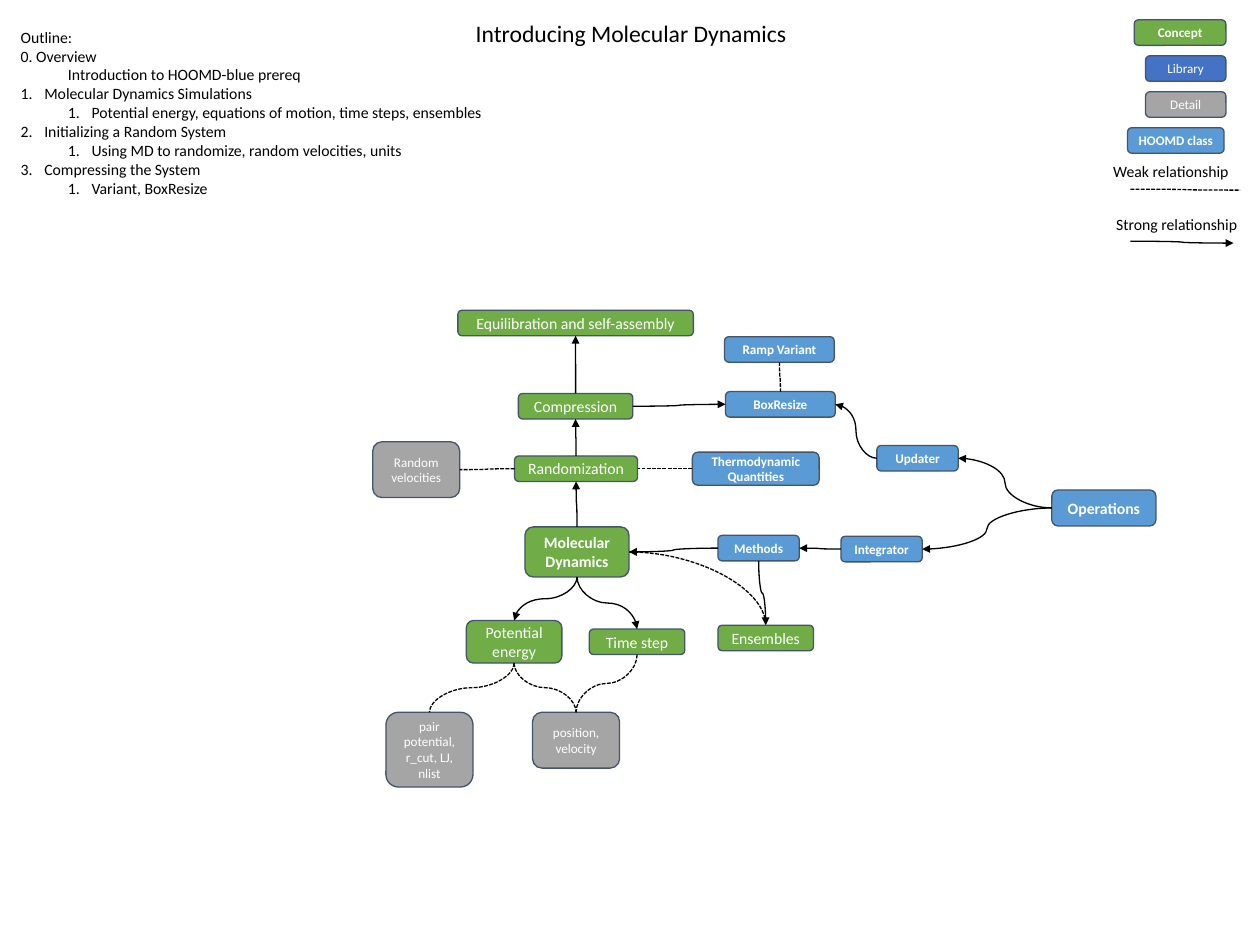
from copy import deepcopy

from lxml.etree import SubElement
from pptx import Presentation
from pptx.dml.color import RGBColor
from pptx.enum.dml import MSO_LINE
from pptx.enum.shapes import MSO_CONNECTOR, MSO_SHAPE
from pptx.enum.text import MSO_ANCHOR, MSO_AUTO_SIZE as FIT, PP_ALIGN
from pptx.oxml.ns import qn
from pptx.util import Inches, Pt

COLORS = {"concept": "70AD47", "library": "4472C4", "detail": "A5A5A5",
          "class": "5B9BD5", "outline": "44546A", "ink": "000000", "light": "FFFFFF"}
FONT = "Calibri"

# text lines, kind, size, bold, (left, top, width, height)
NODES = {
    "concept key": ("Concept", "concept", 10, True, (11.99, 0.21, 0.97, 0.27)),
    "library key": ("Library", "library", 10, False, (12.11, 0.59, 0.85, 0.27)),
    "detail key": ("Detail", "detail", 10, False, (12.11, 0.97, 0.85, 0.27)),
    "class key": ("HOOMD class", "class", 10, True, (11.92, 1.35, 1.02, 0.27)),
    "dynamics": ("Molecular Dynamics", "concept", 12, True, (5.55, 5.57, 1.1, 0.53)),
    "equilibration": ("Equilibration and self-assembly", "concept", 12, False,
                      (4.84, 3.28, 2.49, 0.27)),
    "compression": ("Compression", "concept", 12, False, (5.48, 4.16, 1.21, 0.27)),
    "randomization": ("Randomization", "concept", 12, False, (5.44, 4.82, 1.3, 0.27)),
    "energy": ("Potential energy", "concept", 12, False, (4.93, 6.56, 1.01, 0.45)),
    "time step": ("Time step", "concept", 12, False, (6.23, 6.65, 1.01, 0.27)),
    "ensembles": ("Ensembles", "concept", 12, False, (7.59, 6.61, 1.01, 0.27)),
    "operations": ("Operations", "class", 12, True, (11.12, 5.18, 1.1, 0.38)),
    "integrator": ("Integrator", "class", 10, True, (8.89, 5.67, 0.86, 0.27)),
    "updater": ("Updater", "class", 10, True, (9.27, 4.71, 0.86, 0.27)),
    "methods": ("Methods", "class", 10, True, (7.59, 5.66, 0.86, 0.27)),
    "resize": ("BoxResize", "class", 10, True, (7.67, 4.14, 1.16, 0.27)),
    "ramp": ("Ramp Variant", "class", 10, True, (7.66, 3.56, 1.16, 0.27)),
    "quantities": ("Thermodynamic\nQuantities", "class", 10, True, (7.32, 4.78, 1.34, 0.35)),
    "velocities": ("Random velocities", "detail", 10, False, (3.94, 4.67, 0.92, 0.59)),
    "position": ("position,\nvelocity", "detail", 10, False, (5.63, 7.53, 0.92, 0.59)),
    "pair": ("pair potential, r_cut, LJ, nlist", "detail", 10, False, (4.08, 7.53, 0.92, 0.79)),
}

# from node, its side, to node, its side
STRONG = [
    ("operations", "left", "integrator", "right"), ("operations", "left", "updater", "right"),
    ("updater", "left", "resize", "right"), ("integrator", "left", "methods", "right"),
    ("methods", "left", "dynamics", "right"), ("methods", "bottom", "ensembles", "top"),
    ("dynamics", "bottom", "time step", "top"), ("dynamics", "bottom", "energy", "top"),
    ("dynamics", "top", "randomization", "bottom"),
    ("randomization", "top", "compression", "bottom"),
    ("compression", "top", "equilibration", "bottom"), ("compression", "right", "resize", "left"),
]
WEAK = [
    ("time step", "bottom", "position", "top"), ("energy", "bottom", "position", "top"),
    ("energy", "bottom", "pair", "top"), ("dynamics", "right", "ensembles", "top"),
    ("ramp", "bottom", "resize", "top"), ("randomization", "left", "velocities", "right"),
    ("quantities", "left", "randomization", "right"),
]
KEY_LINES = [((11.95, 2), (13.11, 2.01), False), ((11.95, 2.55), (13.04, 2.57), True)]

# text, level, left margin, numbered
OUTLINE = [
    ("Outline:", 0, 0, False), ("0. Overview", 0, 0, False),
    ("Introduction to HOOMD-blue prereq", 0, 0.5, False),
    ("Molecular Dynamics Simulations", 0, 0.25, True),
    ("Potential energy, equations of motion, time steps, ensembles", 1, 0.75, True),
    ("Initializing a Random System", 0, 0.25, True),
    ("Using MD to randomize, random velocities, units", 1, 0.75, True),
    ("Compressing the System", 0, 0.25, True),
    ("Variant, BoxResize", 1, 0.75, True),
]
LABELS = [  # lines, size, frame
    ([("Introducing Molecular Dynamics", 0, 0, False)], 18, (4.93, 0.15, 3.52, 0.4)),
    ([("Weak relationship", 0, 0, False)], 12, (11.67, 1.66, 1.43, 0.3)),
    ([("Strong relationship", 0, 0, False)], 12, (11.7, 2.22, 1.49, 0.3)),
    (OUTLINE, 12, (0.12, 0.24, 5.14, 1.92)),
]
SIDES = {"top": (0, 0.5, 0), "left": (1, 0, 0.5), "bottom": (2, 0.5, 1), "right": (3, 1, 0.5)}


def rgb(name):
    """Return the named colour."""
    return RGBColor.from_string(COLORS[name])


def write(para, text, size, color, bold=False):
    """Add one formatted span to a paragraph."""
    span = para.add_run()
    span.text = text
    for key, value in {"name": FONT, "size": Pt(size), "bold": bold}.items():
        setattr(span.font, key, value)
    span.font.color.rgb = rgb(color)


def add_node(page, text, kind, size, bold, frame):
    """Draw a rounded box with centred text."""
    box = page.shapes.add_shape(MSO_SHAPE.ROUNDED_RECTANGLE, *map(Inches, frame))
    box.shadow.inherit = False
    box.fill.solid()
    box.fill.fore_color.rgb = rgb(kind)
    box.line.color.rgb = rgb("outline")
    box.line.width = Pt(1)
    body = box.text_frame
    body.word_wrap, body.vertical_anchor = True, MSO_ANCHOR.MIDDLE
    for i, line in enumerate(text.split("\n")):
        para = body.add_paragraph() if i else body.paragraphs[0]
        para.alignment = PP_ALIGN.CENTER
        write(para, line, size, "light", bold)
    return box


def add_label(page, lines, size, frame):
    """Draw unwrapped text, numbering the lines that ask for it."""
    body = page.shapes.add_textbox(*map(Inches, frame)).text_frame
    body.word_wrap, body.auto_size = False, FIT.SHAPE_TO_FIT_TEXT
    for i, (text, level, margin, numbered) in enumerate(lines):
        para = body.add_paragraph() if i else body.paragraphs[0]
        para.level = level
        write(para, text, size, "ink")
        props = para._p.get_or_add_pPr()
        props.set("marL", str(Inches(margin)))
        props.set("indent", str(Inches(-0.25 if numbered else 0)))
        if numbered:
            SubElement(props, qn("a:buAutoNum"), type="arabicPeriod")


def add_curve(page, start, end, strong, upright=False):
    """Draw a curve; an upright one leaves and arrives vertically."""
    (x1, y1), (x2, y2) = start, end
    turn = 0
    if upright:
        middle_x, middle_y = (x1 + x2) / 2, (y1 + y2) / 2
        down, left = y2 > y1, x2 < x1
        turn = 90 if down and left else 270
        half_x, half_y = abs(y2 - y1) / 2, abs(x2 - x1) / 2
        if down and not left:
            half_x = -half_x
        if left and not down:
            half_y = -half_y
        x1, x2 = middle_x - half_x, middle_x + half_x
        y1, y2 = middle_y - half_y, middle_y + half_y
    link = page.shapes.add_connector(MSO_CONNECTOR.CURVE, *map(Inches, (x1, y1, x2, y2)))
    link.line.color.rgb = rgb("ink")
    link.line.width = Pt(1)
    props = link._element.spPr
    if turn:
        props.find(qn("a:xfrm")).set("rot", str(turn * 60000))
    if strong:
        SubElement(link.line._get_or_add_ln(), qn("a:tailEnd"), type="triangle")
    else:
        link.line.dash_style = MSO_LINE.SQUARE_DOT
    SubElement(props, qn("a:effectLst"))
    return link


def side_point(name, side):
    """Return the middle of one side of a node."""
    left, top, width, height = NODES[name][-1]
    _, across, down = SIDES[side]
    return left + across * width, top + down * height


def join(page, boxes, source, out, target, into, strong):
    """Tie two nodes together with a curve."""
    upright = out in ("top", "bottom")
    link = add_curve(page, side_point(source, out), side_point(target, into), strong, upright)
    props = link._element.spPr
    if upright != (into in ("top", "bottom")):
        props.find(qn("a:prstGeom")).set("prst", "curvedConnector2")
    frame = deepcopy(props.find(qn("a:xfrm")))
    link.begin_connect(boxes[source], SIDES[out][0])
    link.end_connect(boxes[target], SIDES[into][0])
    props.replace(props.find(qn("a:xfrm")), frame)  # connecting drops the rotated frame


deck = Presentation()
deck.slide_width, deck.slide_height = Inches(13.32), Inches(9.99)
page = deck.slides.add_slide(deck.slide_layouts[6])
boxes = {name: add_node(page, *node) for name, node in NODES.items()}
for label in LABELS:
    add_label(page, *label)
for start, end, strong in KEY_LINES:
    add_curve(page, start, end, strong)
for links, strong in ((STRONG, True), (WEAK, False)):
    for ends in links:
        join(page, boxes, *ends, strong)
deck.save("out.pptx")
